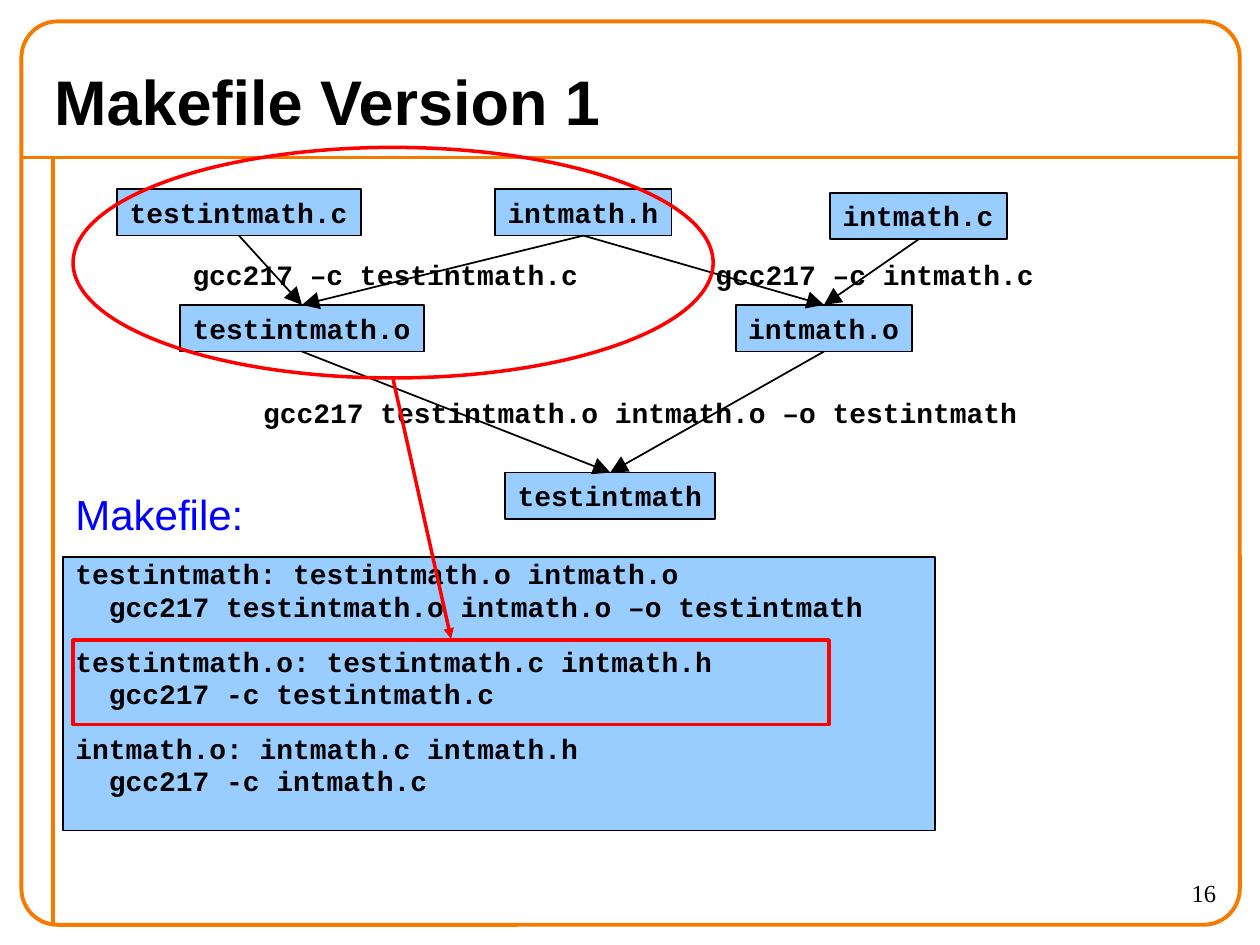
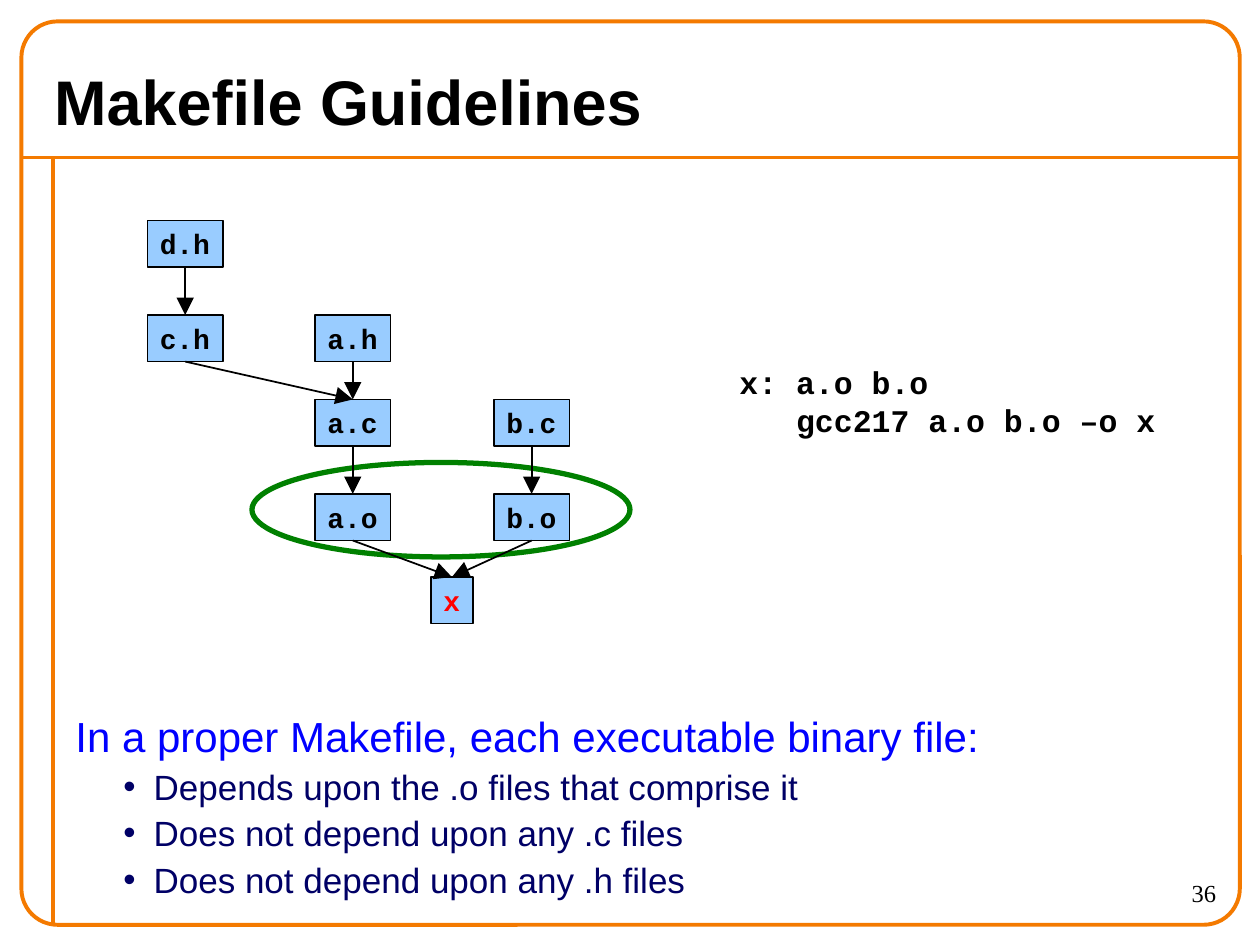
import lxml.etree
import pptx
import pptx.dml.color
import pptx.enum.shapes
import pptx.enum.text
import pptx.oxml.ns
import pptx.util

Inches = pptx.util.Inches
Pt = pptx.util.Pt
RGBColor = pptx.dml.color.RGBColor
Shape = pptx.enum.shapes.MSO_SHAPE
Align = pptx.enum.text.PP_ALIGN
Anchor = pptx.enum.text.MSO_ANCHOR

BLACK = RGBColor(0x00, 0x00, 0x00)
ORANGE = RGBColor(0xF4, 0x7A, 0x00)
SKY = RGBColor(0x99, 0xCC, 0xFF)
BLUE = RGBColor(0x00, 0x00, 0xFF)
NAVY = RGBColor(0x00, 0x00, 0x66)
RED = RGBColor(0xFF, 0x00, 0x00)
GREEN = RGBColor(0x00, 0x80, 0x00)

HEADING, CODE, NUMERAL = "Arial", "Courier New", "Times New Roman"
FILE_HEIGHT = 0.37
BOTTOM_SITE, TOP_SITE = 2, 0


def add_xml(parent, tag, **attributes):
    name = pptx.oxml.ns.qn(tag)
    return lxml.etree.SubElement(parent, name, attributes)


def write(frame, text, font=CODE, size=16, color=BLACK, bold=False,
          align=Align.LEFT, spacing=None, before=0, bullet=False, more=False):
    """Write one paragraph; more adds it below those already in the frame."""
    paragraph = frame.add_paragraph() if more else frame.paragraphs[0]
    if bullet:
        properties = paragraph._p.get_or_add_pPr()
        properties.set("marL", str(Inches(0.62)))
        properties.set("indent", str(Inches(-0.24)))
        add_xml(add_xml(properties, "a:buClr"), "a:srgbClr", val=str(color))
        add_xml(properties, "a:buFont", typeface=font)
        add_xml(properties, "a:buChar", char="•")
    paragraph.alignment = align
    if spacing:
        paragraph.line_spacing = spacing
    if before:
        paragraph.space_before = Pt(before)
    run = paragraph.add_run()
    run.text = text
    run.font.name = font
    run.font.size = Pt(size)
    run.font.bold = bold
    run.font.color.rgb = color


class Deck:
    def __init__(self):
        self.presentation = pptx.Presentation()
        self.presentation.slide_width = Inches(10)
        self.presentation.slide_height = Inches(7.5)
        self.slide = None

    def start_slide(self, title, number):
        layout = self.presentation.slide_layouts[5]
        self.slide = self.presentation.slides.add_slide(layout)
        heading = self.slide.shapes.title
        heading.left, heading.top = Inches(0.33), Inches(0.42)
        heading.width, heading.height = Inches(9.33), Inches(0.75)
        frame = heading.text_frame
        frame.auto_size = pptx.enum.text.MSO_AUTO_SIZE.NONE
        frame.vertical_anchor = Anchor.MIDDLE
        write(frame, title, font=HEADING, size=36, bold=True)

        self.line((0.17, 1.25), (9.83, 1.25), ORANGE, 2.25)
        self.line((0.42, 1.25), (0.42, 7.33), ORANGE, 2.25)
        border = self.shape(Shape.ROUNDED_RECTANGLE, 0.17, 0.17, 9.67, 7.17,
                            ORANGE, 2.25)
        border.adjustments[0] = 0.04
        write(self.text_area(8.75, 6.92, 1, 0.42), number,
              font=NUMERAL, size=14, align=Align.RIGHT)

    def shape(self, kind, left, top, width, height, color, weight, fill=None):
        shape = self.slide.shapes.add_shape(
            kind, Inches(left), Inches(top), Inches(width), Inches(height))
        shape.shadow.inherit = False
        if fill is None:
            shape.fill.background()
        else:
            shape.fill.solid()
            shape.fill.fore_color.rgb = fill
        shape.line.color.rgb = color
        shape.line.width = Pt(weight)
        shape.text_frame.vertical_anchor = Anchor.TOP
        return shape

    def text_area(self, left, top, width, height):
        area = self.slide.shapes.add_textbox(
            Inches(left), Inches(top), Inches(width), Inches(height))
        area.text_frame.word_wrap = True
        return area.text_frame

    def line(self, start, end, color=BLACK, weight=1, head=None):
        """Draw a straight line; head is the arrowhead size, med or lg."""
        points = [Inches(value) for value in (*start, *end)]
        line = self.slide.shapes.add_connector(
            pptx.enum.shapes.MSO_CONNECTOR.STRAIGHT, *points)
        line.line.color.rgb = color
        line.line.width = Pt(weight)
        if head:
            outline = line.line._get_or_add_ln()
            add_xml(outline, "a:tailEnd", type="triangle", w=head, len=head)
        add_xml(line._element.spPr, "a:effectLst")
        return line

    def file(self, name, left, top, color=BLACK):
        """Draw a file box as wide as its name in the code font."""
        width = 0.2 + len(name) * 16 * 0.6 / 72
        box = self.shape(Shape.RECTANGLE, left, top, width, FILE_HEIGHT,
                         BLACK, 1, SKY)
        box.text_frame.word_wrap = False
        write(box.text_frame, name, bold=True, color=color)
        return box

    def files(self, places):
        return {name: self.file(name, *place) for name, place in places.items()}

    def dependencies(self, files, pairs):
        for source, target in pairs:
            arrow = self.line((0, 0), (1, 1), head="lg")
            arrow.begin_connect(files[source], BOTTOM_SITE)
            arrow.end_connect(files[target], TOP_SITE)

    def command(self, text, left, top, width):
        write(self.text_area(left, top, width, 0.42), text,
              bold=True, spacing=0.8)


def version_slide(deck):
    deck.start_slide("Makefile Version 1", "16")

    makefile = deck.shape(Shape.RECTANGLE, 0.5, 4.42, 6.92, 2.17,
                          BLACK, 0.75, SKY).text_frame
    rules = [
        ("testintmath: testintmath.o intmath.o",
         "  gcc217 testintmath.o intmath.o –o testintmath"),
        ("testintmath.o: testintmath.c intmath.h",
         "  gcc217 -c testintmath.c"),
        ("intmath.o: intmath.c intmath.h",
         "  gcc217 -c intmath.c"),
    ]
    for index, (target, recipe) in enumerate(rules):
        later = index > 0
        write(makefile, target, bold=True, more=later,
              spacing=0.6 if later else 0.8, before=19 if later else 0)
        write(makefile, recipe, bold=True, more=True)

    files = deck.files({
        "testintmath.c": (0.93, 1.5),
        "intmath.h": (3.93, 1.5),
        "intmath.c": (6.59, 1.53),
        "testintmath.o": (1.43, 2.42),
        "intmath.o": (5.84, 2.42),
        "testintmath": (4.01, 3.75),
    })
    deck.dependencies(files, [
        ("testintmath.c", "testintmath.o"),
        ("intmath.h", "testintmath.o"),
        ("intmath.h", "intmath.o"),
        ("intmath.c", "intmath.o"),
        ("testintmath.o", "testintmath"),
        ("intmath.o", "testintmath"),
    ])
    deck.command("gcc217 testintmath.o intmath.o –o testintmath",
                 1.99, 3.14, 6.59)
    deck.command("gcc217 –c testintmath.c", 1.43, 2.05, 3.57)
    deck.command("gcc217 –c intmath.c", 5.58, 2.05, 3)

    deck.shape(Shape.OVAL, 0.58, 1.17, 5.08, 1.83, RED, 2)
    deck.line((3.12, 3.01), (3.58, 5.07), RED, 2, head="med")
    write(deck.text_area(0.5, 3.83, 1.8, 0.5), "Makefile:",
          font=HEADING, size=24, color=BLUE)
    deck.shape(Shape.RECTANGLE, 0.58, 5.08, 6, 0.67, RED, 2)


def guidelines_slide(deck):
    deck.start_slide("Makefile Guidelines", "36")

    guidelines = deck.text_area(0.5, 5.59, 9.25, 1.74)
    write(guidelines, "In a proper Makefile, each executable binary file:",
          font=HEADING, size=24, color=BLUE)
    for guideline in ("Depends upon the .o files that comprise it",
                      "Does not depend upon any .c files",
                      "Does not depend upon any .h files"):
        write(guidelines, guideline, font=HEADING, size=20, color=NAVY,
              before=2.5, bullet=True, more=True)

    files = deck.files({
        "d.h": (1.17, 1.75),
        "c.h": (1.17, 2.5),
        "a.h": (2.5, 2.5),
        "a.c": (2.5, 3.17),
        "b.c": (3.92, 3.17),
        "a.o": (2.5, 3.92),
        "b.o": (3.92, 3.92),
        "x": (3.42, 4.58, RED),
    })
    deck.shape(Shape.OVAL, 2, 3.67, 3, 0.75, GREEN, 3)
    deck.dependencies(files, [
        ("d.h", "c.h"), ("c.h", "a.c"), ("a.h", "a.c"), ("a.c", "a.o"),
        ("b.c", "b.o"), ("a.o", "x"), ("b.o", "x"),
    ])

    rule = deck.text_area(5.77, 2.83, 3.8, 0.7)
    write(rule, "x: a.o b.o", size=18, bold=True)
    write(rule, "   gcc217 a.o b.o –o x", size=18, bold=True, more=True)


def main():
    deck = Deck()
    version_slide(deck)
    guidelines_slide(deck)
    deck.presentation.save("out.pptx")


if __name__ == "__main__":
    main()
